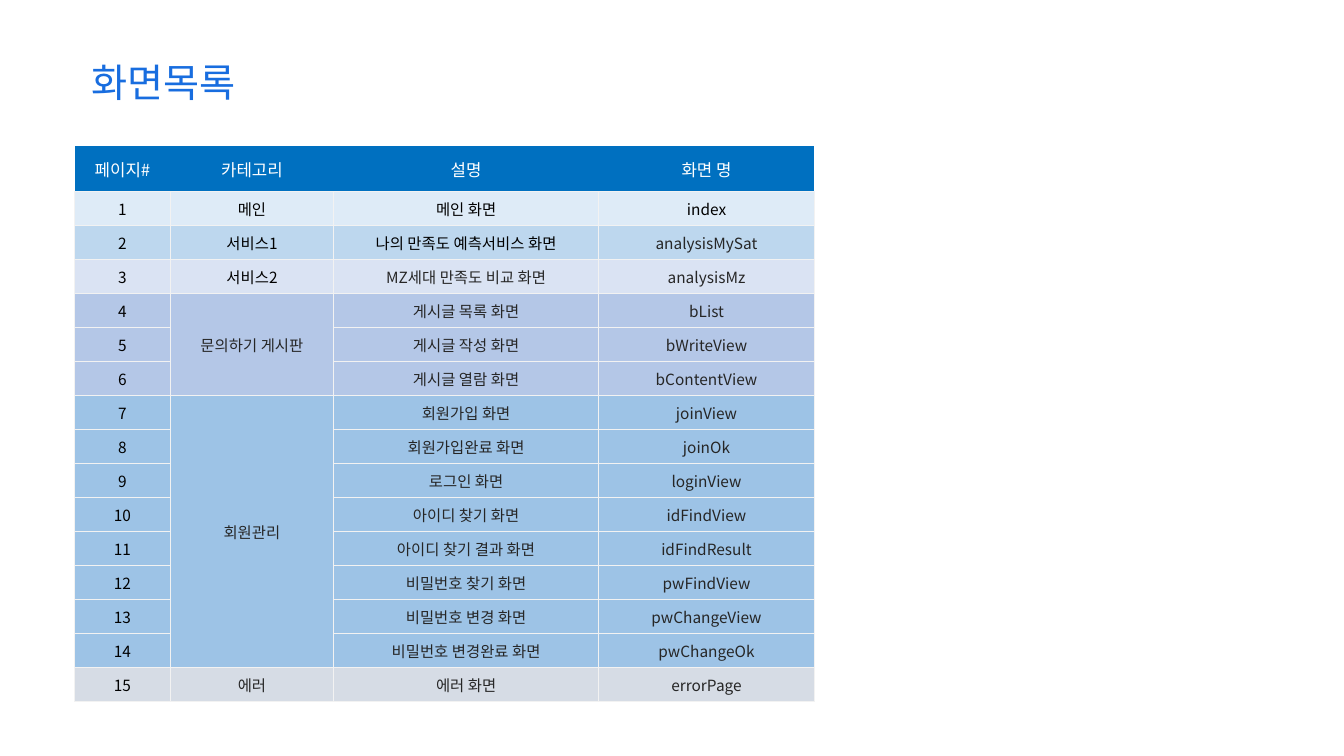
import pptx
import pptx.dml.color
import pptx.enum.text
import pptx.oxml.ns
import pptx.util
from lxml import etree

Pt = pptx.util.Pt
RGBColor = pptx.dml.color.RGBColor
CENTER = pptx.enum.text.PP_ALIGN.CENTER
MIDDLE = pptx.enum.text.MSO_ANCHOR.MIDDLE
qn = pptx.oxml.ns.qn

FONT = "Noto Sans CJK KR"
NO_GRID_STYLE = "{2D5ABB26-0587-4C30-8999-92F81FD0307C}"
TITLE_BLUE = RGBColor(0x18, 0x6D, 0xDF)
HEADER_BLUE = RGBColor(0x00, 0x70, 0xC0)
WHITE = RGBColor(0xFF, 0xFF, 0xFF)
BLACK = RGBColor(0x00, 0x00, 0x00)
DARK_GRAY = RGBColor(0x26, 0x26, 0x26)
BORDER_GRAY = RGBColor(0xF2, 0xF2, 0xF2)
MAIN_FILL = RGBColor(0xDE, 0xEB, 0xF7)
SERVICE_1_FILL = RGBColor(0xBD, 0xD7, 0xEE)
SERVICE_2_FILL = RGBColor(0xDA, 0xE3, 0xF3)
BOARD_FILL = RGBColor(0xB4, 0xC7, 0xE7)
MEMBER_FILL = RGBColor(0x9D, 0xC3, 0xE6)
ERROR_FILL = RGBColor(0xD6, 0xDC, 0xE5)

HEADERS = ["페이지#", "카테고리", "설명", "화면 명"]
CATEGORIES = [
    ("메인", MAIN_FILL, [("메인 화면", "index")]),
    ("서비스1", SERVICE_1_FILL, [("나의 만족도 예측서비스 화면", "analysisMySat")]),
    ("서비스2", SERVICE_2_FILL, [("MZ세대 만족도 비교 화면", "analysisMz")]),
    ("문의하기 게시판", BOARD_FILL, [
        ("게시글 목록 화면", "bList"),
        ("게시글 작성 화면", "bWriteView"),
        ("게시글 열람 화면", "bContentView"),
    ]),
    ("회원관리", MEMBER_FILL, [
        ("회원가입 화면", "joinView"),
        ("회원가입완료 화면", "joinOk"),
        ("로그인 화면", "loginView"),
        ("아이디 찾기 화면", "idFindView"),
        ("아이디 찾기 결과 화면", "idFindResult"),
        ("비밀번호 찾기 화면", "pwFindView"),
        ("비밀번호 변경 화면", "pwChangeView"),
        ("비밀번호 변경완료 화면", "pwChangeOk"),
    ]),
    ("에러", ERROR_FILL, [("에러 화면", "errorPage")]),
]
COLUMN_WIDTHS = [68.4, 116.6, 189.4, 154.1]
HEADER_HEIGHT = 32.5
ROW_HEIGHT = 24.3


def add_run(paragraph, text, size, color):
    """Add one centred run in the slide's Latin and East Asian font."""
    paragraph.alignment = CENTER
    run = paragraph.add_run()
    run.text = text
    run.font.size = Pt(size)
    run.font.color.rgb = color
    run.font.name = FONT
    properties = run.font._element
    etree.SubElement(properties, qn("a:ea"), typeface=FONT)


def style_cell(cell, fill, sides):
    """Draw the borders on the given sides and fill the cell."""
    properties = cell._tc.get_or_add_tcPr()
    for side in sides:
        line = etree.SubElement(properties, qn("a:ln" + side), w=str(Pt(1)))
        solid = etree.SubElement(line, qn("a:solidFill"))
        etree.SubElement(solid, qn("a:srgbClr"), val=str(BORDER_GRAY))
    cell.fill.solid()
    cell.fill.fore_color.rgb = fill
    cell.vertical_anchor = MIDDLE


def add_title(slide, left, top, width, height):
    """Place the slide title in its box."""
    shape = slide.shapes.add_textbox(Pt(left), Pt(top), Pt(width), Pt(height))
    frame = shape.text_frame
    frame.word_wrap = False
    frame.margin_top = frame.margin_bottom = 0
    frame.vertical_anchor = MIDDLE
    add_run(frame.paragraphs[0], "화면목록", 28, TITLE_BLUE)


def add_screen_table(slide, left, top):
    """Place the screen list, one merged category cell per group."""
    row_count = 1 + sum(len(screens) for _, _, screens in CATEGORIES)
    height = HEADER_HEIGHT + ROW_HEIGHT * (row_count - 1)
    table = slide.shapes.add_table(
        row_count, len(HEADERS), Pt(left), Pt(top),
        Pt(sum(COLUMN_WIDTHS)), Pt(height)).table
    table._tbl.tblPr.find(qn("a:tableStyleId")).text = NO_GRID_STYLE
    for column, width in zip(table.columns, COLUMN_WIDTHS):
        column.width = Pt(width)
    for row in table.rows:
        row.height = Pt(ROW_HEIGHT)
    table.rows[0].height = Pt(HEADER_HEIGHT)

    for column, header in enumerate(HEADERS):
        cell = table.cell(0, column)
        style_cell(cell, HEADER_BLUE, "B")
        add_run(cell.text_frame.paragraphs[0], header, 12, WHITE)

    page = 1
    for category, fill, screens in CATEGORIES:
        first = page
        for description, name in screens:
            label = category if page == first else None
            # Black text covers one column fewer on each row, down to the number
            black_columns = max(1, 5 - page)
            for column, text in enumerate([str(page), label, description, name]):
                cell = table.cell(page, column)
                style_cell(cell, fill, "LRTB")
                if text:
                    color = BLACK if column < black_columns else DARK_GRAY
                    add_run(cell.text_frame.paragraphs[0], text, 11, color)
            page += 1
        if len(screens) > 1:
            table.cell(first, 1).merge(table.cell(page - 1, 1))


def build_screen_list(presentation):
    """Add the screen list slide."""
    slide = presentation.slides.add_slide(presentation.slide_layouts[6])
    add_title(slide, 53.3, 38, 127.4, 41)
    add_screen_table(slide, 53.3, 104.4)


presentation = pptx.Presentation()
presentation.slide_width = Pt(960)
presentation.slide_height = Pt(540)
build_screen_list(presentation)
presentation.save("out.pptx")
